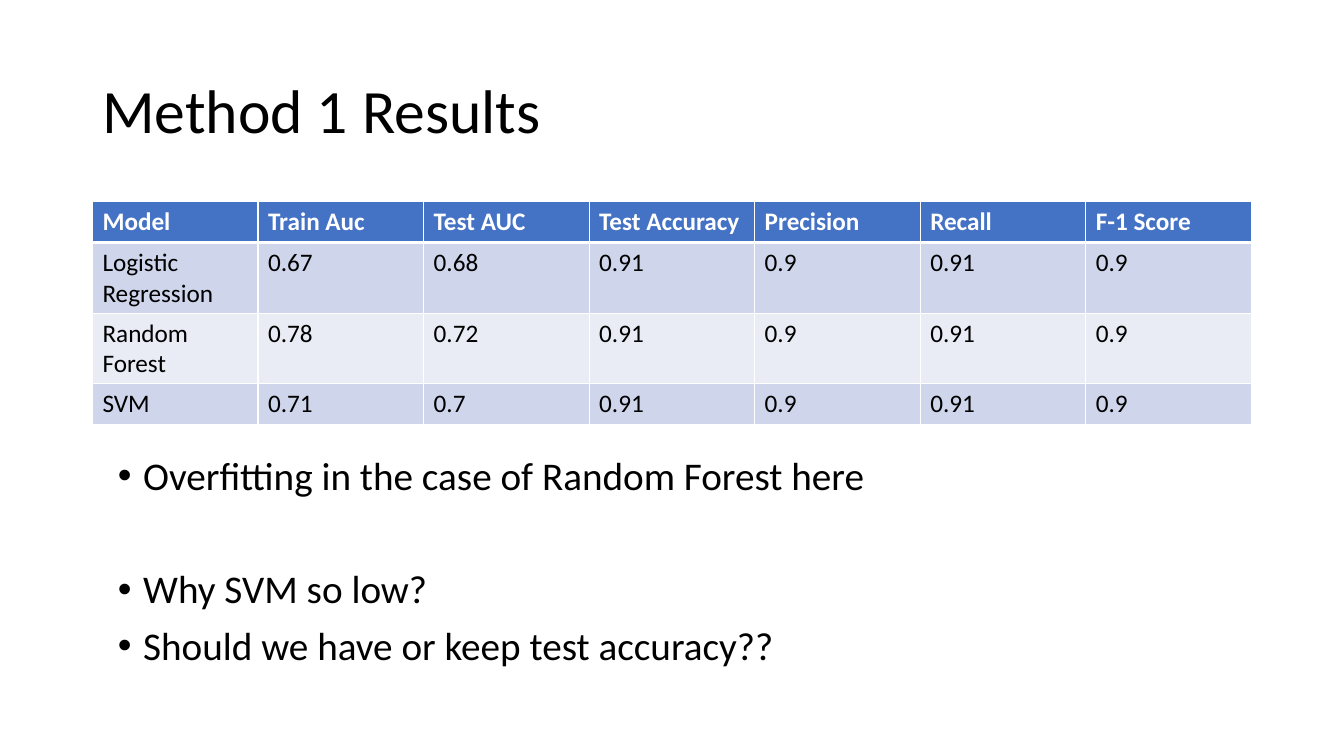
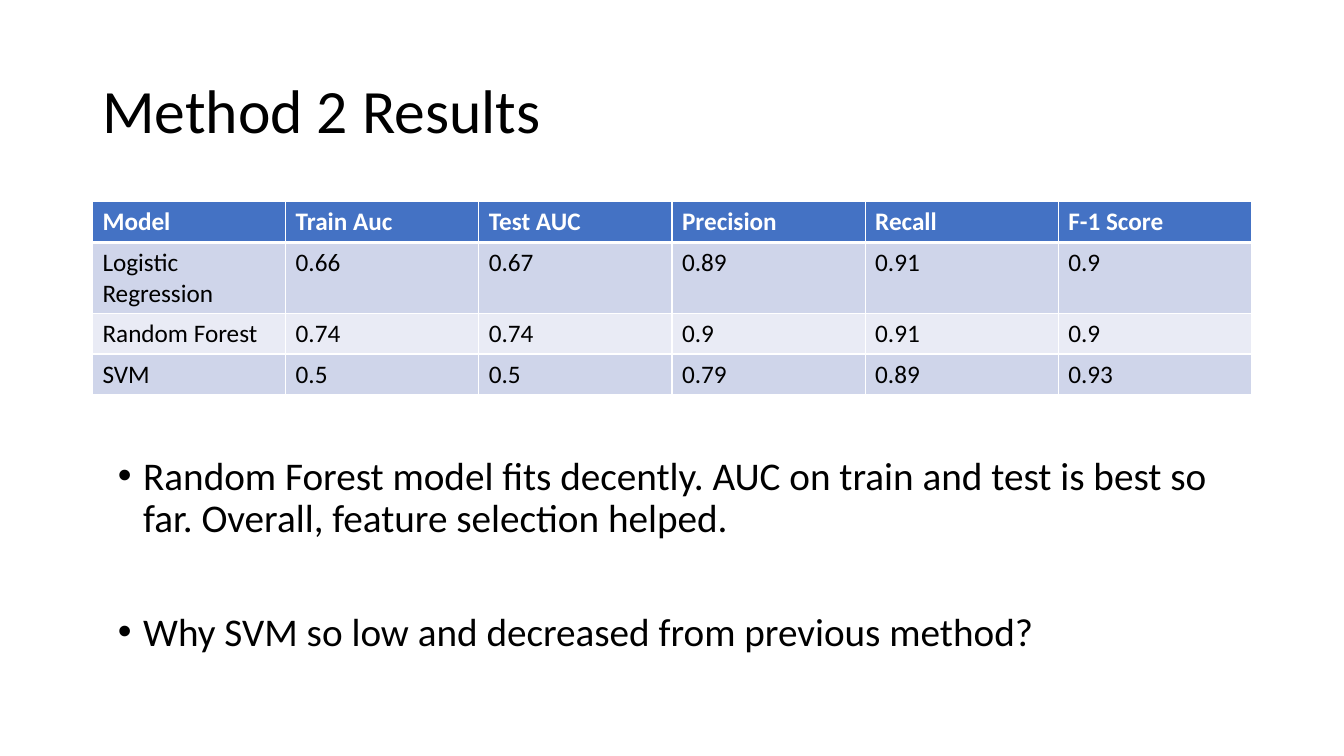
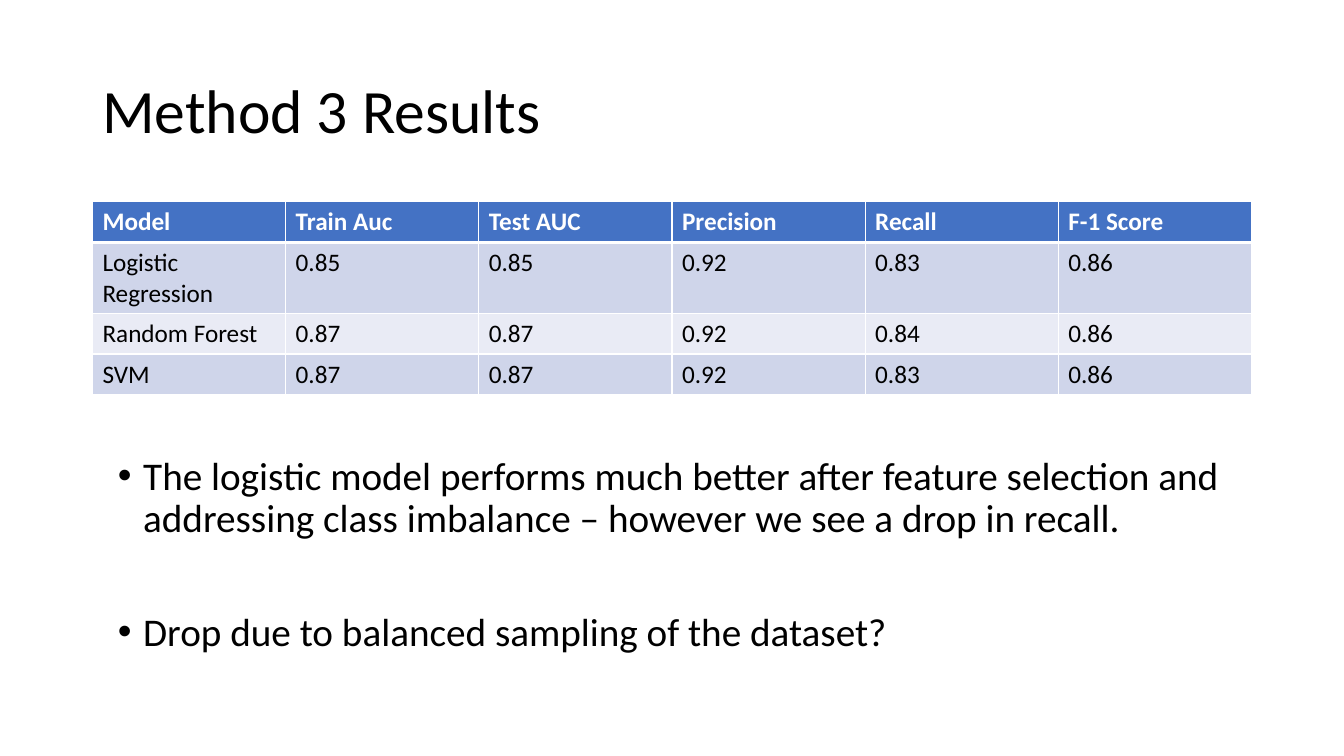
"""Build three slides comparing model results for three methods."""
from dataclasses import dataclass

from lxml import etree
from pptx import Presentation
from pptx.dml.color import RGBColor
from pptx.enum.text import MSO_ANCHOR
from pptx.oxml.ns import qn
from pptx.util import Cm, Pt

MIDDLE = MSO_ANCHOR.MIDDLE


@dataclass(frozen=True)
class Theme:
    font: str = "Calibri"
    text: str = "000000"
    light: str = "FFFFFF"
    header: str = "4472C4"
    bands: tuple = ("CFD5EA", "E9EBF5")
    title_size: int = 44
    body_size: int = 28
    table_size: int = 18
    thin_rule: int = 1
    thick_rule: int = 3


THEME = Theme()
MARGIN, WIDTH = Cm(2.33), Cm(29.21)
LINE_ROW, TALL_ROW = Cm(1.03), Cm(1.78)
BULLET_INDENT = Cm(0.64)
BULLET_GAP, WIDE_GAP = Pt(10), Pt(50.8)

METHODS = [
    {
        "title": "Method 1 Results",
        "header": ["Model", "Train Auc", "Test AUC", "Test Accuracy", "Precision", "Recall", "F-1 Score"],
        "rows": [
            ["Logistic Regression", "0.67", "0.68", "0.91", "0.9", "0.91", "0.9"],
            ["Random Forest", "0.78", "0.72", "0.91", "0.9", "0.91", "0.9"],
            ["SVM", "0.71", "0.7", "0.91", "0.9", "0.91", "0.9"],
        ],
        "tall_rows": (1, 2),
        "bullets": [
            "Overfitting in the case of Random Forest here",
            "Why SVM so low?",
            "Should we have or keep test accuracy??",
        ],
    },
    {
        "title": "Method 2 Results",
        "header": ["Model", "Train Auc", "Test AUC", "Precision", "Recall", "F-1 Score"],
        "rows": [
            ["Logistic Regression", "0.66", "0.67", "0.89", "0.91", "0.9"],
            ["Random Forest", "0.74", "0.74", "0.9", "0.91", "0.9"],
            ["SVM", "0.5", "0.5", "0.79", "0.89", "0.93"],
        ],
        "tall_rows": (1,),
        "bullets": [
            "Random Forest model fits decently. AUC on train and test is best so far. "
            "Overall, feature selection helped.",
            "Why SVM so low and decreased from previous method?",
        ],
    },
    {
        "title": "Method 3 Results",
        "header": ["Model", "Train Auc", "Test AUC", "Precision", "Recall", "F-1 Score"],
        "rows": [
            ["Logistic Regression", "0.85", "0.85", "0.92", "0.83", "0.86"],
            ["Random Forest", "0.87", "0.87", "0.92", "0.84", "0.86"],
            ["SVM", "0.87", "0.87", "0.92", "0.83", "0.86"],
        ],
        "tall_rows": (1,),
        "bullets": [
            "The logistic model performs much better after feature selection and "
            "addressing class imbalance – however we see a drop in recall.",
            "Drop due to balanced sampling of the dataset?",
        ],
    },
]


def write(paragraph, text, size, color=THEME.text, bold=False):
    paragraph.text = text
    paragraph.font.name = THEME.font
    paragraph.font.size = Pt(size)
    paragraph.font.bold = bold
    paragraph.font.color.rgb = RGBColor.from_string(color)


def add_borders(cell, top, bottom):
    properties = cell._tc.get_or_add_tcPr()
    sides = {"a:lnL": THEME.thin_rule, "a:lnR": THEME.thin_rule, "a:lnT": top, "a:lnB": bottom}
    for side, weight in sides.items():
        line = etree.SubElement(properties, qn(side), w=str(Pt(weight)))
        fill = etree.SubElement(line, qn("a:solidFill"))
        etree.SubElement(fill, qn("a:srgbClr"), val=THEME.light)


deck = Presentation()
deck.slide_width, deck.slide_height = Cm(33.87), Cm(19.05)
blank_layout = deck.slide_layouts[6]

for method in METHODS:
    page = deck.slides.add_slide(blank_layout)

    title_frame = page.shapes.add_textbox(MARGIN, Cm(1.01), WIDTH, Cm(3.68)).text_frame
    title_frame.word_wrap = True
    title_frame.vertical_anchor = MIDDLE
    title = title_frame.paragraphs[0]
    write(title, method["title"], THEME.title_size)
    title.line_spacing = 0.9

    records = [method["header"], *method["rows"]]
    column_count = len(method["header"])
    heights = [TALL_ROW if index in method["tall_rows"] else LINE_ROW for index in range(len(records))]
    table = page.shapes.add_table(
        len(records), column_count, MARGIN, Cm(5.08), WIDTH, sum(heights)
    ).table
    for column in table.columns:
        column.width = WIDTH // column_count
    for row_index, record in enumerate(records):
        table.rows[row_index].height = heights[row_index]
        is_header = row_index == 0
        background = THEME.header if is_header else THEME.bands[(row_index - 1) % 2]
        top = THEME.thick_rule if row_index == 1 else THEME.thin_rule
        bottom = THEME.thick_rule if is_header else THEME.thin_rule
        for column_index, value in enumerate(record):
            cell = table.cell(row_index, column_index)
            add_borders(cell, top, bottom)
            cell.fill.solid()
            cell.fill.fore_color.rgb = RGBColor.from_string(background)
            color = THEME.light if is_header else THEME.text
            write(cell.text_frame.paragraphs[0], value, THEME.table_size, color, is_header)

    notes_frame = page.shapes.add_textbox(Cm(2.72), Cm(11.38), WIDTH, Cm(5.99)).text_frame
    notes_frame.word_wrap = True
    for index, bullet in enumerate(method["bullets"]):
        paragraph = notes_frame.add_paragraph() if index else notes_frame.paragraphs[0]
        properties = paragraph._p.get_or_add_pPr()
        properties.set("marL", str(BULLET_INDENT))
        properties.set("indent", str(-BULLET_INDENT))
        etree.SubElement(properties, qn("a:buFont"), typeface="Arial")
        etree.SubElement(properties, qn("a:buChar"), char="•")
        write(paragraph, bullet, THEME.body_size)
        paragraph.line_spacing = 0.9
        paragraph.space_before = WIDE_GAP if index == 1 else BULLET_GAP

deck.save("out.pptx")
